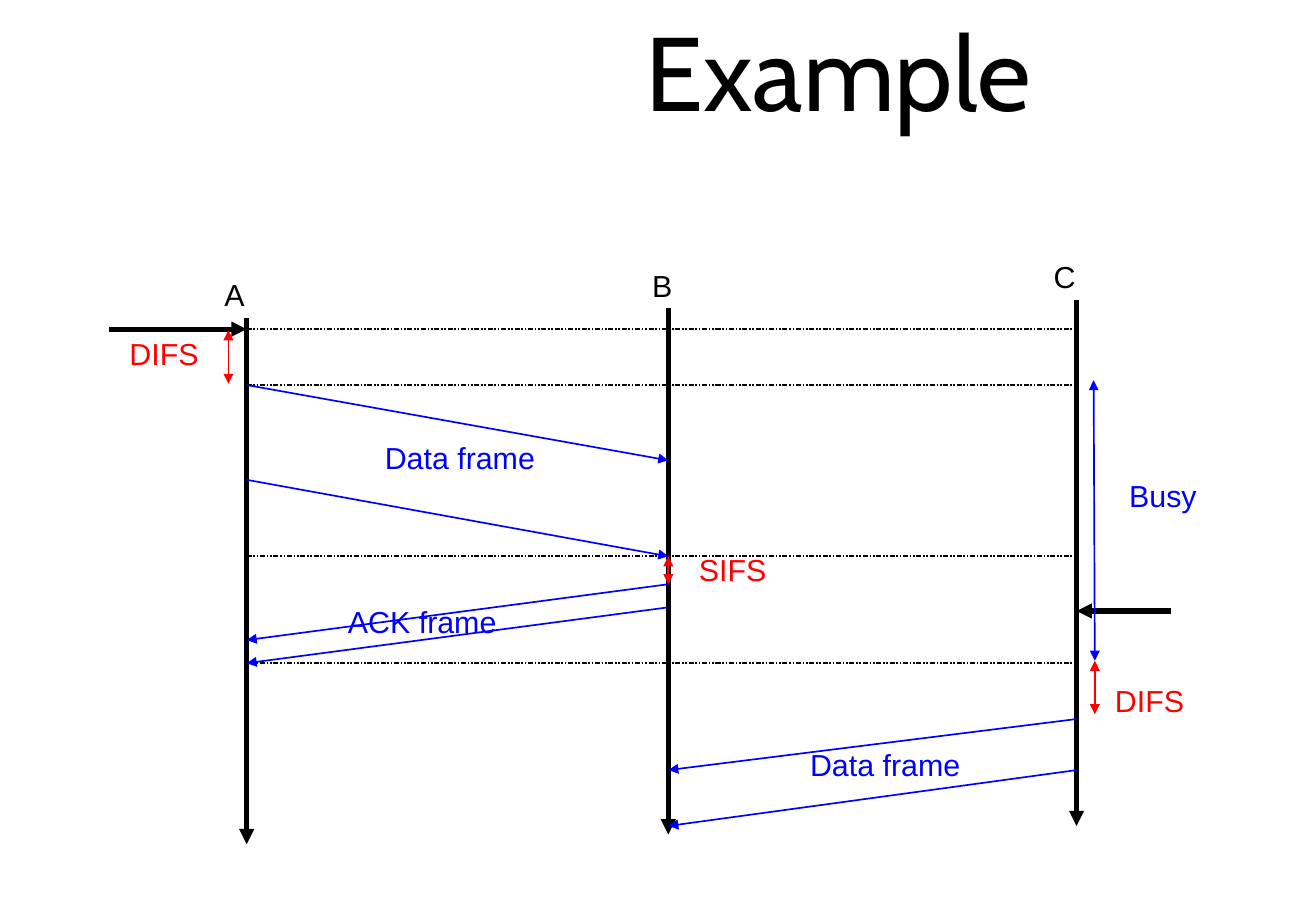
from lxml import etree
from pptx import Presentation
from pptx.dml.color import RGBColor
from pptx.enum.shapes import MSO_CONNECTOR
from pptx.enum.text import MSO_ANCHOR, PP_ALIGN
from pptx.oxml.ns import qn
from pptx.util import Inches, Pt

STRAIGHT = MSO_CONNECTOR.STRAIGHT
MIDDLE = MSO_ANCHOR.MIDDLE
CENTER = PP_ALIGN.CENTER
BLACK = RGBColor(0, 0, 0)
RED = RGBColor(255, 0, 0)
BLUE = RGBColor(0, 0, 255)
LANE_HEIGHT = 4.33
LABEL_HEIGHT = 0.26


def add_text(s, text, left, top, width, height, color=BLACK, size=18,
             font="Arial", inset=0, wrap=False):
    """Add a centred one-line text box."""
    tf = s.shapes.add_textbox(Inches(left), Inches(top), Inches(width), Inches(height)).text_frame
    tf.margin_left = tf.margin_right = tf.margin_top = tf.margin_bottom = Inches(inset)
    tf.vertical_anchor = MIDDLE
    tf.word_wrap = wrap
    p = tf.paragraphs[0]
    p.text = text
    p.alignment = CENTER
    p.line_spacing = 0.84
    p.font.size = Pt(size)
    p.font.name = font
    p.font.color.rgb = color


def add_line(s, start, end, color=BLACK, width=1, dash=None, head=False, tail=False):
    """Add a straight line with optional dash and arrowheads."""
    x1, y1, x2, y2 = (Inches(v) for v in (*start, *end))
    line = s.shapes.add_connector(STRAIGHT, x1, y1, x2, y2)
    line.line.color.rgb = color
    line.line.width = Pt(width)
    ln = line.line._get_or_add_ln()
    if dash:
        etree.SubElement(ln, qn("a:prstDash"), val=dash)
    for tag, wanted in (("a:headEnd", head), ("a:tailEnd", tail)):
        if wanted:
            etree.SubElement(ln, qn(tag), type="triangle")
    etree.SubElement(line._element.spPr, qn("a:effectLst"))


def add_lane(s, x, y, name, label_dx):
    """Draw one station's time axis with its name above."""
    add_text(s, name, x + label_dx - 0.09, y - 0.3, 0.18, LABEL_HEIGHT)
    add_line(s, (x, y), (x, y + LANE_HEIGHT), width=3, tail=True)


def add_interval(s, x, y, height, text, color, label_dx, label_dy, lean=0):
    """Draw a double-headed time span with its label beside it."""
    add_line(s, (x, y), (x + lean, y + height), color, head=True, tail=True)
    add_text(s, text, x + label_dx, y + label_dy, 0.58, LABEL_HEIGHT, color)


def add_frame(s, x_from, x_to, y, spans, text, label_dx, label_dy):
    """Draw the first and last bit of a frame, with the frame's label."""
    for start, end in spans:
        add_line(s, (x_from, y + start), (x_to, y + end), BLUE, tail=True)
    add_text(s, text, min(x_from, x_to) + label_dx, y + label_dy, 1.25, LABEL_HEIGHT, BLUE)


def add_diagram(s, left, top):
    """Draw the exchange between the three stations."""
    a, b, c = (left + dx for dx in (1.13, 4.6, 7.96))
    arrival, sent, received, acked = (top + dy for dy in (0.54, 1, 2.41, 3.29))
    for x, dy, name, label_dx in ((a, 0.45, "A", -0.1), (b, 0.37, "B", -0.05), (c, 0.3, "C", -0.1)):
        add_lane(s, x, top + dy, name, label_dx)
    for y in (arrival, sent, received, acked):
        add_line(s, (a, y), (c, y), dash="sysDashDotDot")
    for x, lane, y in ((left, a, arrival), (left + 8.74, c, top + 2.86)):
        add_line(s, (x, y), (lane, y), width=3, tail=True)
    add_interval(s, a - 0.15, arrival + 0.01, 0.44, "DIFS", RED, -0.82, 0.08)
    add_frame(s, a, b, sent, ((0, 0.62), (0.78, 1.41)), "Data frame", 1.13, 0.49)
    add_interval(s, c + 0.14, sent - 0.04, 2.31, "Busy", BLUE, 0.28, 0.84, lean=0.01)
    add_interval(s, b, received, 0.23, "SIFS", RED, 0.24, 0)
    add_frame(s, b, a, received, ((0.23, 0.69), (0.42, 0.88)), "ACK frame", 0.82, 0.43)
    add_interval(s, c + 0.15, acked - 0.02, 0.44, "DIFS", RED, 0.16, 0.22)
    add_frame(s, c, b, acked, ((0.46, 0.88), (0.88, 1.34)), "Data frame", 1.16, 0.73)


def main():
    """Build and save the slide."""
    prs = Presentation()
    prs.slide_width = Inches(10.83)
    prs.slide_height = Inches(7.5)
    s = prs.slides.add_slide(prs.slide_layouts[6])
    add_text(s, "Example", 3.66, 0, 6.48, 1.32, size=62, font="Cabin", inset=0.04, wrap=True)
    add_diagram(s, 0.9, 2.17)
    prs.save("out.pptx")


if __name__ == "__main__":
    main()
